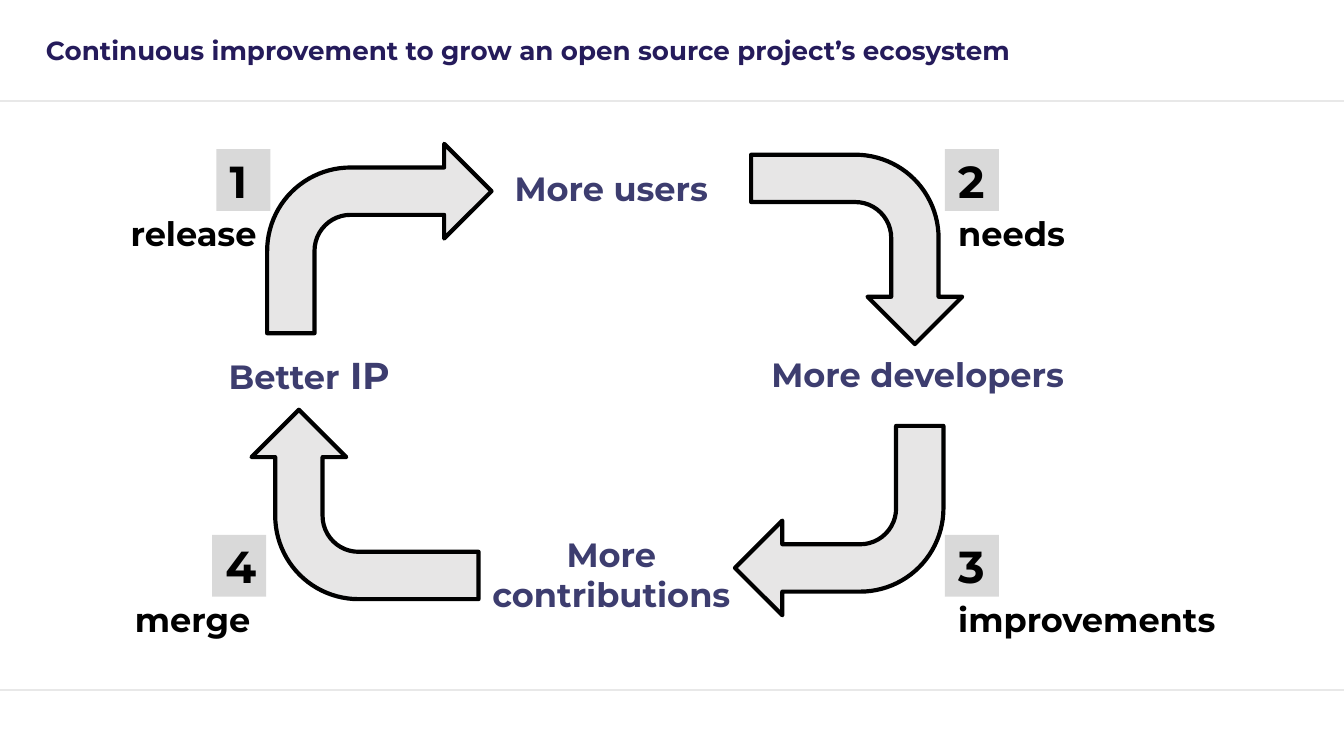
from lxml import etree
from pptx import Presentation, util as u
from pptx.dml.color import RGBColor
from pptx.enum import shapes, text
from pptx.oxml.ns import qn

COLORS = {"title": "251B5B", "stage": "3D3D6F", "ink": "000000", "space": "21A3BD",
          "rule": "E8E8E8", "arrow": "E7E6E6", "badge": "D9D9D9"}
LEFT, CENTER, RIGHT = text.PP_ALIGN.LEFT, text.PP_ALIGN.CENTER, text.PP_ALIGN.RIGHT

prs = Presentation()
prs.slide_width, prs.slide_height = u.Cm(25.4), u.Cm(14.29)
s = prs.slides.add_slide(prs.slide_layouts[6])


def write(sp, runs, size, color, align=LEFT, inset=0.25):
    """Fill a shape with one bold paragraph, a run for each string in runs."""
    tf = sp.text_frame
    tf.word_wrap = True
    tf.vertical_anchor = text.MSO_ANCHOR.MIDDLE
    tf.margin_left = tf.margin_right = tf.margin_top = tf.margin_bottom = u.Cm(inset)
    p = tf.paragraphs[0]
    p.alignment = align
    for words in runs:
        r = p.add_run()
        r.text = words
        r.font.name, r.font.size, r.font.bold = "Montserrat", u.Pt(size), True
        r.font.color.rgb = RGBColor.from_string(COLORS[color])
    return p


def add_filled(kind, box, color):
    sp = s.shapes.add_shape(kind, *map(u.Cm, box))
    sp.shadow.inherit = False
    sp.fill.solid()
    sp.fill.fore_color.rgb = RGBColor.from_string(COLORS[color])
    return sp


# Header and footer rules
for y in (1.91, 13.05):
    line = s.shapes.add_connector(shapes.MSO_CONNECTOR.STRAIGHT,
                                  u.Cm(0), u.Cm(y), prs.slide_width, u.Cm(y))
    line.line.width = u.Pt(1)
    line.line.color.rgb = RGBColor.from_string(COLORS["rule"])
    etree.SubElement(line._element.spPr, qn("a:effectLst"))

title = s.shapes.add_textbox(u.Cm(0.69), u.Cm(0.25), u.Cm(24.16), u.Cm(1.4))
write(title, ["Continuous improvement to grow an open source project’s ecosystem"],
      14, "title", inset=0.18)

# Stages of the cycle
stages = [
    (8.53, 2.51, 6.05, ["More users"]),
    (13.89, 6.02, 6.91, ["More developers"]),
    (8.53, 9.8, 6.05, ["More contributions"]),
    (2.39, 6.02, 6.91, ["Better", " ", "IP"]),
]
for x, y, w, runs in stages:
    sp = s.shapes.add_textbox(u.Cm(x), u.Cm(y), u.Cm(w), u.Cm(2.11))
    p = write(sp, runs, 18, "stage", CENTER)
    for r in p.runs[1:]:
        r.font.size = u.Pt(20)
        if r.text == " ":
            r.font.color.rgb = RGBColor.from_string(COLORS["space"])

# Bent arrows, with the frame before rotation
arrows = [
    (90, (14.4, 2.72, 3.58, 3.99)),
    (270, (5.11, 7.39, 3.58, 4.29)),
    (0, (5.05, 2.72, 4.24, 3.58)),
    (180, (13.89, 8.05, 3.94, 3.58)),
]
for angle, box in arrows:
    sp = add_filled(shapes.MSO_SHAPE.BENT_ARROW, box, "arrow")
    sp.rotation = angle
    for i, value in enumerate((0.25, 0.25, 0.25, 0.44)):
        sp.adjustments[i] = value
    sp.line.width = u.Pt(2.25)
    sp.line.color.rgb = RGBColor.from_string(COLORS["ink"])
    etree.SubElement(sp.line._get_or_add_ln(), qn("a:round"))

# Numbered steps: a badge with its caption right below
BADGE_W, BADGE_H = 1.02, 1.17
TOP, BOTTOM = 2.82, 10.11
steps = [
    ("1", 4.09, TOP, "release", 2.18, 2.92, RIGHT),
    ("2", 17.86, TOP, "needs", 17.86, 3.35, LEFT),
    ("3", 17.86, BOTTOM, "improvements", 17.86, 5.49, LEFT),
    ("4", 4.01, BOTTOM, "merge", 2.06, 2.92, RIGHT),
]
for number, x, y, caption, caption_x, caption_w, align in steps:
    badge = add_filled(shapes.MSO_SHAPE.RECTANGLE, (x, y, BADGE_W, BADGE_H), "badge")
    badge.line.fill.background()
    write(badge, [number], 24, "ink")
    sp = s.shapes.add_textbox(u.Cm(caption_x), u.Cm(y + BADGE_H), u.Cm(caption_w), u.Cm(0.84))
    write(sp, [caption], 18, "ink", align)

prs.save("out.pptx")
